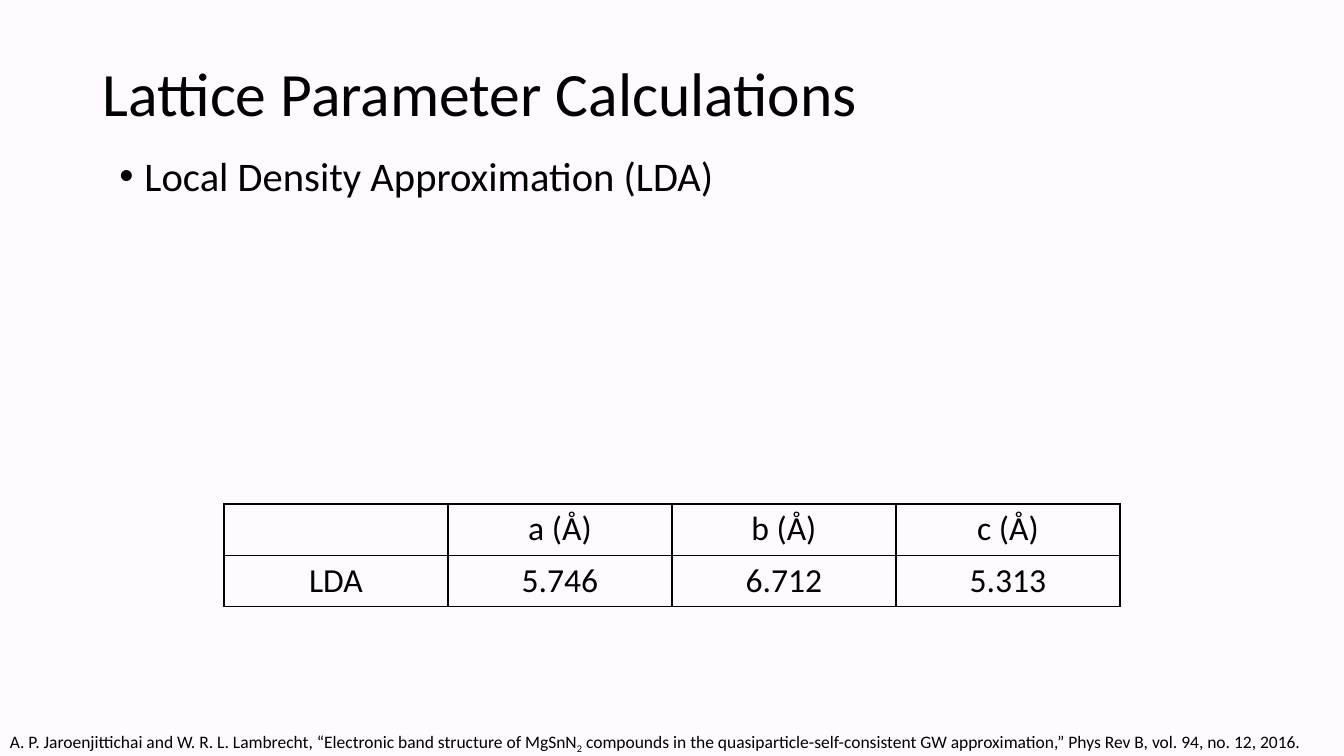
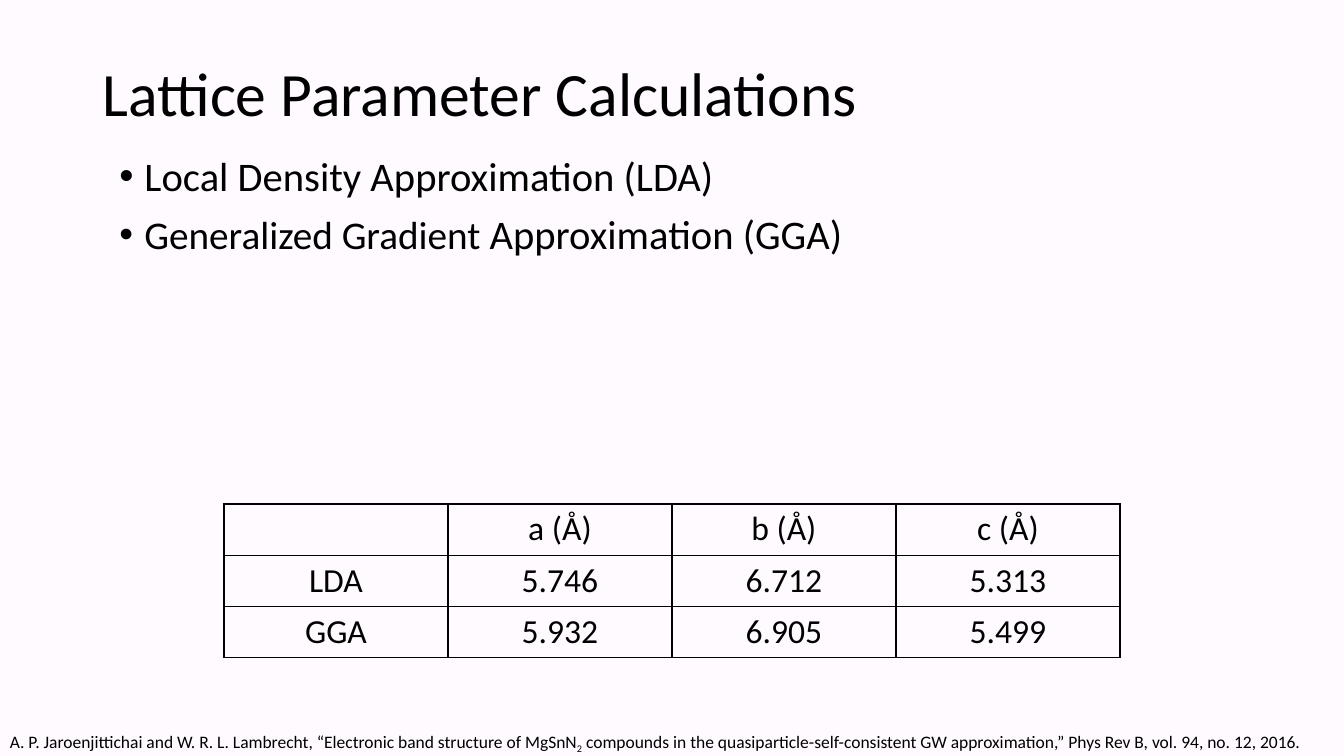
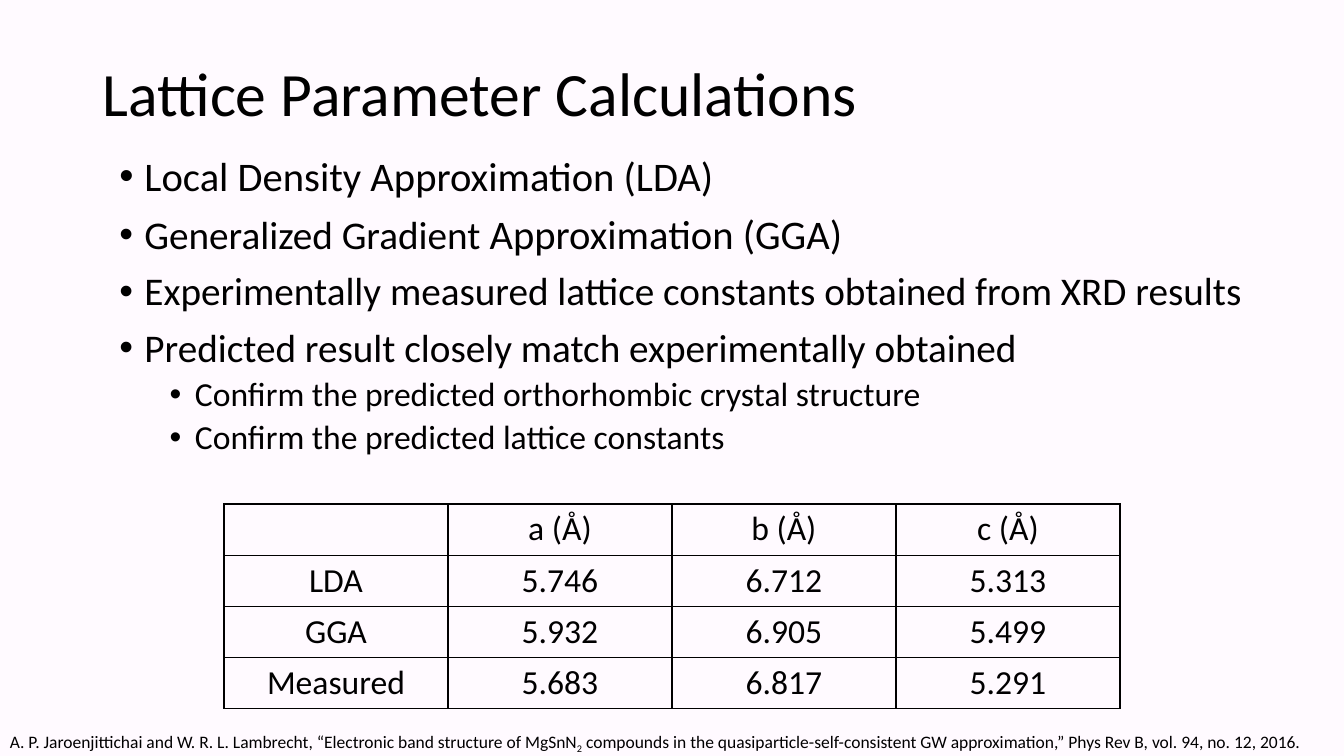
from lxml.etree import SubElement
from pptx import Presentation
from pptx.dml.color import RGBColor
from pptx.enum.text import MSO_ANCHOR, MSO_AUTO_SIZE, PP_ALIGN
from pptx.oxml.ns import qn
from pptx.util import Emu, Pt

INK = RGBColor(0, 0, 0)
PAPER = RGBColor(0xFF, 0xFA, 0xFF)
FONT = "Calibri"

COLUMNS, ROWS = 160, 90
CELL = 76200
TITLE_BOX = (11, 5, 141.4, 13)
LIST_BOX = (13, 18, 136.8, 42)
TABLE_BOX = (26.67, 60, 106.67)
CITATION_BOX = (0, 86.4, COLUMNS, 4)
TABLE_ROW = 4.86
THIN, THICK = Pt(0.96), Pt(1.47)

TITLE = "Lattice Parameter Calculations"
CITATION = [
    ("A. P. Jaroenjittichai and W. R. L. Lambrecht, “Electronic band structure of MgSnN", {}),
    ("2", {"baseline": -25000}),
    (" compounds in the quasiparticle-self-consistent GW approximation,” "
     "Phys Rev B, vol. 94, no. 12, 2016.", {}),
]
POINTS = [
    (0, [("Local Density Approximation (LDA)", {"size": 29})]),
    (0, [("Generalized Gradient", {"size": 28}), (" Approximation (GGA)", {"size": 29})]),
    (0, [("Experimentally measured lattice constants obtained from XRD results", {"size": 28})]),
    (0, [("Predicted result closely match experimentally obtained", {"size": 28})]),
    (1, [("Confirm the predicted orthorhombic crystal structure", {"size": 24})]),
    (1, [("Confirm the predicted lattice constants", {"size": 24})]),
]
LATTICE = [
    ("", "a (Å)", "b (Å)", "c (Å)"),
    ("LDA", "5.746", "6.712", "5.313"),
    ("GGA", "5.932", "6.905", "5.499"),
    ("Measured", "5.683", "6.817", "5.291"),
]
STAGES = [(1, 2), (2, 3), (len(POINTS), len(LATTICE))]


def grid(*lengths):
    return [Emu(round(length * CELL)) for length in lengths]


def place(shape, box):
    shape.left, shape.top, shape.width, shape.height = grid(*box)


def add_text(para, text, size=18, baseline=None):
    span = para.add_run()
    span.text = text
    span.font.size = Pt(size)
    span.font.name = FONT
    span.font.color.rgb = INK
    if baseline is not None:
        span._r.get_or_add_rPr().set("baseline", str(baseline))


def add_bullet(para, level):
    properties = para._p.get_or_add_pPr()
    properties.set("marL", str(228600 + 457200 * level))
    properties.set("indent", "-228600")
    SubElement(properties, qn("a:buFont"), typeface="Arial")
    SubElement(properties, qn("a:buChar"), char="•")


def add_border(cell, side, width):
    line = SubElement(cell._tc.get_or_add_tcPr(), qn("a:ln" + side), w=str(width))
    fill = SubElement(line, qn("a:solidFill"))
    SubElement(fill, qn("a:srgbClr"), val=str(INK))


def fill_title(shape, box):
    place(shape, box)
    frame = shape.text_frame
    frame.vertical_anchor = MSO_ANCHOR.MIDDLE
    para = frame.paragraphs[0]
    para.alignment = PP_ALIGN.LEFT
    para.line_spacing = 0.9
    add_text(para, TITLE, size=44)


def fill_list(shape, box, points):
    place(shape, box)
    frame = shape.text_frame
    frame.auto_size = MSO_AUTO_SIZE.NONE
    for index, (level, spans) in enumerate(points):
        para = frame.add_paragraph() if index else frame.paragraphs[0]
        para.level = level
        add_bullet(para, level)
        para.line_spacing = 0.9
        para.space_before = Pt((5 if level else 10) if index else 0)
        for text, style in spans:
            add_text(para, text, **style)


def add_lattice_table(page, box, records):
    left, top, width = box
    count = len(records)
    frame = page.shapes.add_table(count, len(records[0]),
                                  *grid(left, top, width, TABLE_ROW * count))
    table = frame.table
    table.first_row = table.horz_banding = False
    last_column = len(records[0]) - 1
    complete = count == len(LATTICE)
    for row, record in enumerate(records):
        for column, value in enumerate(record):
            cell = table.cell(row, column)
            outer = {
                "L": column == 0,
                "R": column == last_column,
                "T": row == 0,
                "B": complete and row == count - 1,
            }
            for side, thick in outer.items():
                add_border(cell, side, THICK if thick else THIN)
            cell.fill.solid()
            cell.fill.fore_color.rgb = PAPER
            if value:
                para = cell.text_frame.paragraphs[0]
                para.alignment = PP_ALIGN.CENTER
                add_text(para, value, size=24)


def add_citation(page, box):
    frame = page.shapes.add_textbox(*grid(*box)).text_frame
    frame.word_wrap = True
    frame.auto_size = MSO_AUTO_SIZE.SHAPE_TO_FIT_TEXT
    for text, style in CITATION:
        add_text(frame.paragraphs[0], text, size=12.5, **style)


def add_page(deck, point_count, row_count):
    page = deck.slides.add_slide(deck.slide_layouts[1])
    fill_title(page.shapes.title, TITLE_BOX)
    fill_list(page.placeholders[1], LIST_BOX, POINTS[:point_count])
    add_lattice_table(page, TABLE_BOX, LATTICE[:row_count])
    add_citation(page, CITATION_BOX)


def main():
    deck = Presentation()
    deck.slide_width, deck.slide_height = grid(COLUMNS, ROWS)
    background = deck.slide_master.background.fill
    background.solid()
    background.fore_color.rgb = PAPER
    for point_count, row_count in STAGES:
        add_page(deck, point_count, row_count)
    deck.save("out.pptx")


if __name__ == "__main__":
    main()
